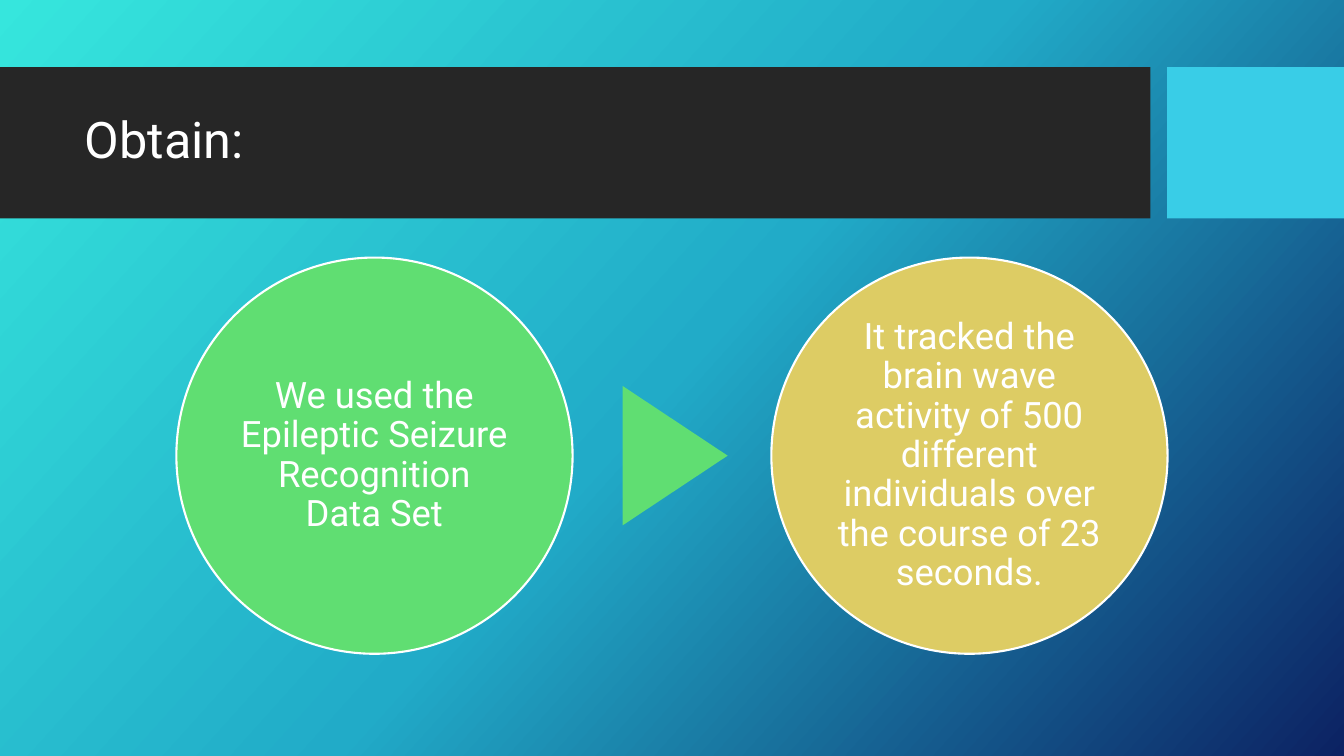
"""Build the Obtain slide: a title band and two circles joined by a triangle."""
from copy import deepcopy
from dataclasses import dataclass

from pptx import Presentation
from pptx.dml.color import RGBColor
from pptx.enum.shapes import MSO_SHAPE as Preset
from pptx.enum.text import MSO_ANCHOR as Anchor, PP_ALIGN as Align
from pptx.oxml.ns import qn
from pptx.shapes.autoshape import Shape
from pptx.slide import Slide
from pptx.util import Pt

WHITE = RGBColor(0xFF, 0xFF, 0xFF)
CHARCOAL = RGBColor(0x26, 0x26, 0x26)
SKY = RGBColor(0x39, 0xCD, 0xE7)
GREEN = RGBColor(0x60, 0xDE, 0x72)
SAND = RGBColor(0xDD, 0xCC, 0x64)
TURQUOISE = RGBColor(0x36, 0xE6, 0xDD)
TEAL = RGBColor(0x21, 0xAB, 0xC8)
NAVY = RGBColor(0x0C, 0x22, 0x63)

FONT = "Roboto"
WIDTH, HEIGHT = 960, 540
BAND_TOP, BAND_HEIGHT = 48, 108
BAND_WIDTH, ACCENT_LEFT = 821.7, 833.6
CIRCLE_TOP, CIRCLE_SIZE = 184, 283
CIRCLE_INSET = 2.88


@dataclass(frozen=True)
class Box:
    """Position and size in points."""
    left: float
    top: float
    width: float
    height: float

    def lengths(self) -> tuple[Pt, Pt, Pt, Pt]:
        """Return the four lengths for python-pptx."""
        return Pt(self.left), Pt(self.top), Pt(self.width), Pt(self.height)


@dataclass(frozen=True)
class Step:
    """One circle of the process."""
    left: float
    color: RGBColor
    text: str


STEPS = (
    Step(126, GREEN, "We used the Epileptic Seizure Recognition Data Set"),
    Step(551, SAND, "It tracked the brain wave activity of 500 different "
                    "individuals over the course of 23 seconds."),
)


def paint_background(slide: Slide, colors: tuple[RGBColor, ...], angle: float) -> None:
    """Fill the background with three evenly spaced gradient colours."""
    fill = slide.background.fill
    fill.gradient()
    fill.gradient_angle = angle
    first_stop = next(slide.element.iter(qn("a:gs")))
    first_stop.addnext(deepcopy(first_stop))
    for index, (stop, color) in enumerate(zip(fill.gradient_stops, colors)):
        stop.position = index / (len(colors) - 1)
        stop.color.rgb = color


def add_solid(slide: Slide, preset: Preset, box: Box, color: RGBColor) -> Shape:
    """Add a flat, borderless shape."""
    shape = slide.shapes.add_shape(preset, *box.lengths())
    shape.shadow.inherit = False
    shape.fill.solid()
    shape.fill.fore_color.rgb = color
    shape.line.fill.background()
    return shape


def write_text(shape: Shape, text: str, size: float, align: Align) -> None:
    """Write one vertically centred white paragraph."""
    frame = shape.text_frame
    frame.word_wrap = True
    frame.vertical_anchor = Anchor.MIDDLE
    paragraph = frame.paragraphs[0]
    paragraph.alignment = align
    paragraph.line_spacing = 0.9
    run = paragraph.add_run()
    run.text = text
    run.font.name = FONT
    run.font.size = Pt(size)
    run.font.color.rgb = WHITE


def add_step(slide: Slide, step: Step) -> None:
    """Add an outlined circle with its sentence."""
    box = Box(step.left, CIRCLE_TOP, CIRCLE_SIZE, CIRCLE_SIZE)
    circle = add_solid(slide, Preset.OVAL, box, step.color)
    circle.line.color.rgb = WHITE
    circle.line.width = Pt(1.5)
    frame = circle.text_frame
    frame.margin_left = frame.margin_right = Pt(CIRCLE_INSET)
    frame.margin_top = frame.margin_bottom = Pt(CIRCLE_INSET)
    write_text(circle, step.text, 26, Align.CENTER)


def main() -> None:
    """Build and save the slide."""
    deck = Presentation()
    deck.slide_width, deck.slide_height = Pt(WIDTH), Pt(HEIGHT)
    slide = deck.slides.add_slide(deck.slide_layouts[6])
    paint_background(slide, (TURQUOISE, TEAL, NAVY), 360 - 42)

    title_band = Box(0, BAND_TOP, BAND_WIDTH, BAND_HEIGHT)
    accent = Box(ACCENT_LEFT, BAND_TOP, WIDTH - ACCENT_LEFT, BAND_HEIGHT)
    add_solid(slide, Preset.RECTANGLE, title_band, CHARCOAL)
    add_solid(slide, Preset.RECTANGLE, accent, SKY)
    title = slide.shapes.add_textbox(*Box(53.5, 59, 756.5, 85).lengths())
    write_text(title, "Obtain:", 36, Align.LEFT)

    for step in STEPS:
        add_step(slide, step)
    pointer_box = Box(432.5, 288, 99.5, 75)
    pointer = add_solid(slide, Preset.ISOSCELES_TRIANGLE, pointer_box, GREEN)
    pointer.rotation = 90

    deck.save("out.pptx")


main()
